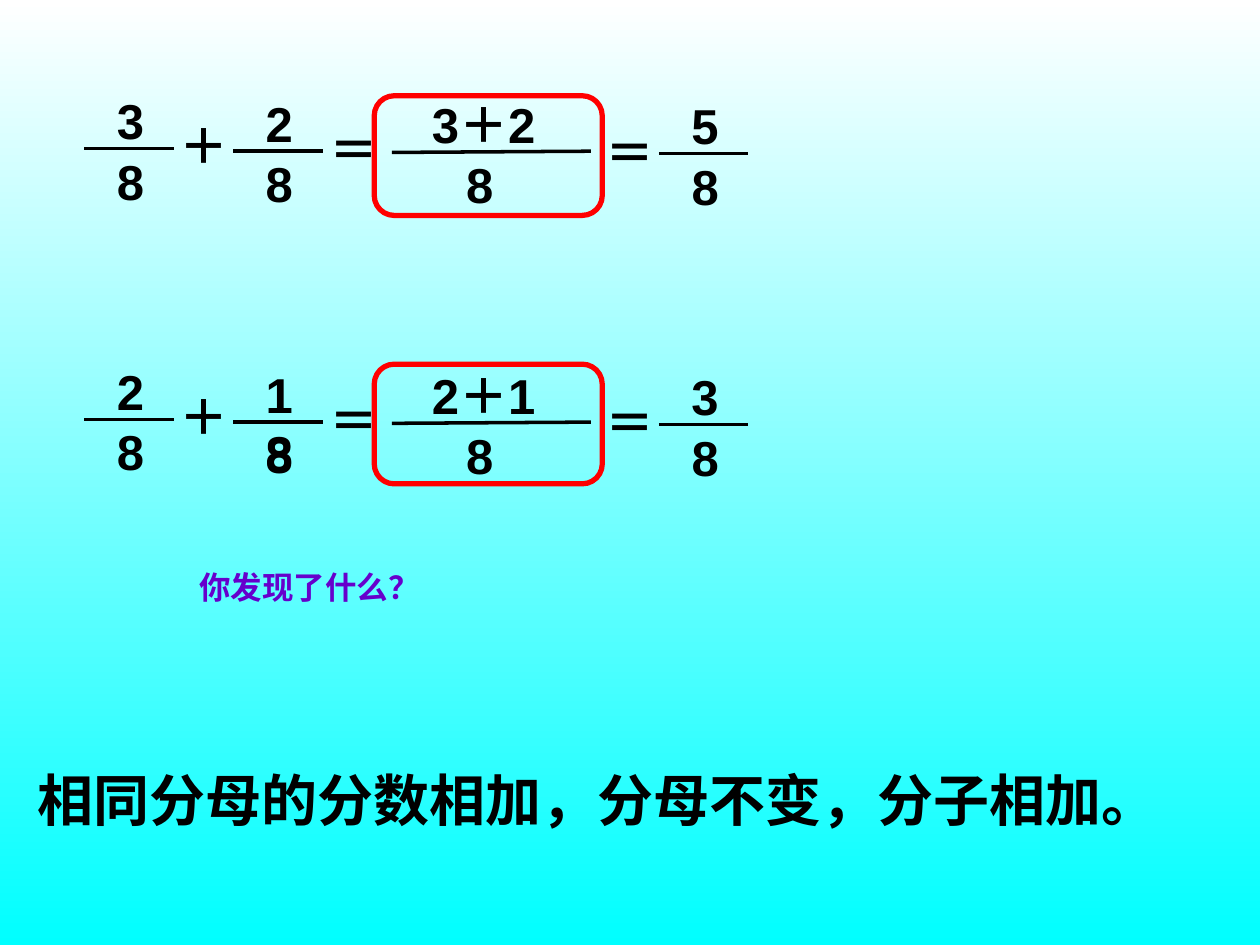
from dataclasses import dataclass

from lxml.etree import SubElement
from pptx import Presentation
from pptx.dml.color import RGBColor as RGB
from pptx.enum.shapes import MSO_CONNECTOR as CONN, MSO_SHAPE as SHAPE
from pptx.enum.text import MSO_AUTO_SIZE as FIT, PP_ALIGN as ALIGN
from pptx.oxml.ns import qn
from pptx.util import Inches, Pt


@dataclass(frozen=True)
class Theme:
    ink: RGB = RGB(0, 0, 0)
    frame: RGB = RGB(255, 0, 0)
    question: RGB = RGB(0x66, 0, 0xCC)
    bg_top: RGB = RGB(255, 255, 255)
    bg_bottom: RGB = RGB(0, 255, 255)
    font: str = "Arial"
    cjk_font: str = "Noto Sans CJK SC"
    math_size: int = 28
    question_size: int = 18
    rule_size: int = 32
    bar_width: int = 2
    frame_width: int = 3


T = Theme()
COLS, ROWS = 100, 75
CELL = Inches(10) // COLS
LINE_H = 5.7  # height of one line of math, in rows
DIGIT_W, SIGN_W, WIDE_W = 5.5, 5.9, 35.4


@dataclass(frozen=True)
class Fraction:
    """Bar position, and numerator and denominator measured from it."""
    x: float
    y: float
    width: float = 7.1
    slope: float = 0
    top_dx: float = 1.6
    top_w: float = DIGIT_W
    top_lines: float = 1
    indent: float = 0
    bottom_dx: float = 1.6


@dataclass(frozen=True)
class Sign:
    x: float
    y: float
    text: str


@dataclass(frozen=True)
class Equation:
    row: float
    tops: tuple[str, str, str, str]
    bottom: str = "8"


# Rows here count from the top of an equation
FRACTIONS = (
    Fraction(6.7, 4.9),
    Fraction(18.5, 5.1),
    Fraction(31.1, 5.2, width=15.8, slope=-0.1, top_dx=1.5, top_w=WIDE_W,
             indent=0.7, bottom_dx=4.9),
    Fraction(52.3, 5.3, top_dx=-4.5, top_w=WIDE_W, indent=6.1),
)
SIGNS = (Sign(13.3, 1.8, "＋"), Sign(25.2, 2.1, "＝"), Sign(47.1, 2.3, "＝"))
EQUATIONS = (
    Equation(6.9, ("3", "2", "3＋2", "5")),
    # The second numerator's box also holds an 8, wrapped below the bar
    Equation(28.4, ("2", "18", "2＋1", "3")),
)


def grid(*cells: float) -> list[int]:
    return [round(c * CELL) for c in cells]


def add_text(shapes, text: str, x: float, y: float, w: float, h: float = LINE_H, *,
             size: int = T.math_size, color: RGB = T.ink, font: str = T.font,
             indent: float = 0, wrap: bool = True, align: ALIGN = ALIGN.LEFT) -> None:
    tf = shapes.add_textbox(*grid(x, y, w, h)).text_frame
    tf.word_wrap = wrap
    tf.auto_size = FIT.SHAPE_TO_FIT_TEXT if wrap else FIT.NONE
    p = tf.paragraphs[0]
    p.alignment = align
    if indent:
        p._p.get_or_add_pPr().set("marL", str(grid(indent)[0]))
    r = p.add_run()
    r.text = text
    r.font.size, r.font.bold, r.font.name = Pt(size), True, font
    r.font.color.rgb = color
    SubElement(r._r.get_or_add_rPr(), qn("a:ea")).set("typeface", font)


def add_bar(shapes, x: float, y: float, width: float, slope: float) -> None:
    c = shapes.add_connector(CONN.STRAIGHT, *grid(x, y, x + width, y + slope))
    c.line.color.rgb, c.line.width = T.ink, Pt(T.bar_width)
    SubElement(c._element.spPr, qn("a:effectLst"))


def add_fraction(shapes, f: Fraction, row: float, top: str, bottom: str) -> None:
    y = row + f.y
    height = 10.4 if top.isdigit() and len(top) > 1 else LINE_H
    add_text(shapes, top, f.x + f.top_dx, y - 5.1, f.top_w, height, indent=f.indent)
    add_bar(shapes, f.x, y, f.width, f.slope)
    add_text(shapes, bottom, f.x + f.bottom_dx, y - 0.3, DIGIT_W)


def add_equation(s, eq: Equation) -> None:
    shapes = s.shapes.add_group_shape().shapes
    for f, top in zip(FRACTIONS, eq.tops):
        add_fraction(shapes, f, eq.row, top, eq.bottom)
    for sign in SIGNS:
        add_text(shapes, sign.text, sign.x, eq.row + sign.y, SIGN_W)


def add_frame(s, y: float) -> None:
    sp = s.shapes.add_shape(SHAPE.ROUNDED_RECTANGLE, *grid(29.7, y, 18.1, 9.5))
    sp.shadow.inherit = False
    sp.fill.background()
    sp.line.color.rgb, sp.line.width = T.frame, Pt(T.frame_width)


def paint_background(s) -> None:
    fill = s.background.fill
    fill.gradient()
    fill.gradient_angle = 270
    for stop, color in zip(fill.gradient_stops, (T.bg_top, T.bg_bottom)):
        stop.color.rgb = color


def main() -> None:
    prs = Presentation()
    prs.slide_width, prs.slide_height = grid(COLS, ROWS)
    s = prs.slides.add_slide(prs.slide_layouts[6])
    paint_background(s)

    # Worked additions, then the frames round their middle steps
    for eq in EQUATIONS:
        add_equation(s, eq)
    for y in (7.6, 28.9):
        add_frame(s, y)

    # Question and the rule that answers it
    add_text(s.shapes, "你发现了什么？", 6.7, 44.6, 35.7, 11.3, size=T.question_size,
             color=T.question, font=T.cjk_font, wrap=False, align=ALIGN.CENTER)
    add_text(s.shapes, "相同分母的分数相加，分母不变，分子相加。", 2, 60.3, 93.7, 6.4,
             size=T.rule_size)
    prs.save("out.pptx")


if __name__ == "__main__":
    main()
